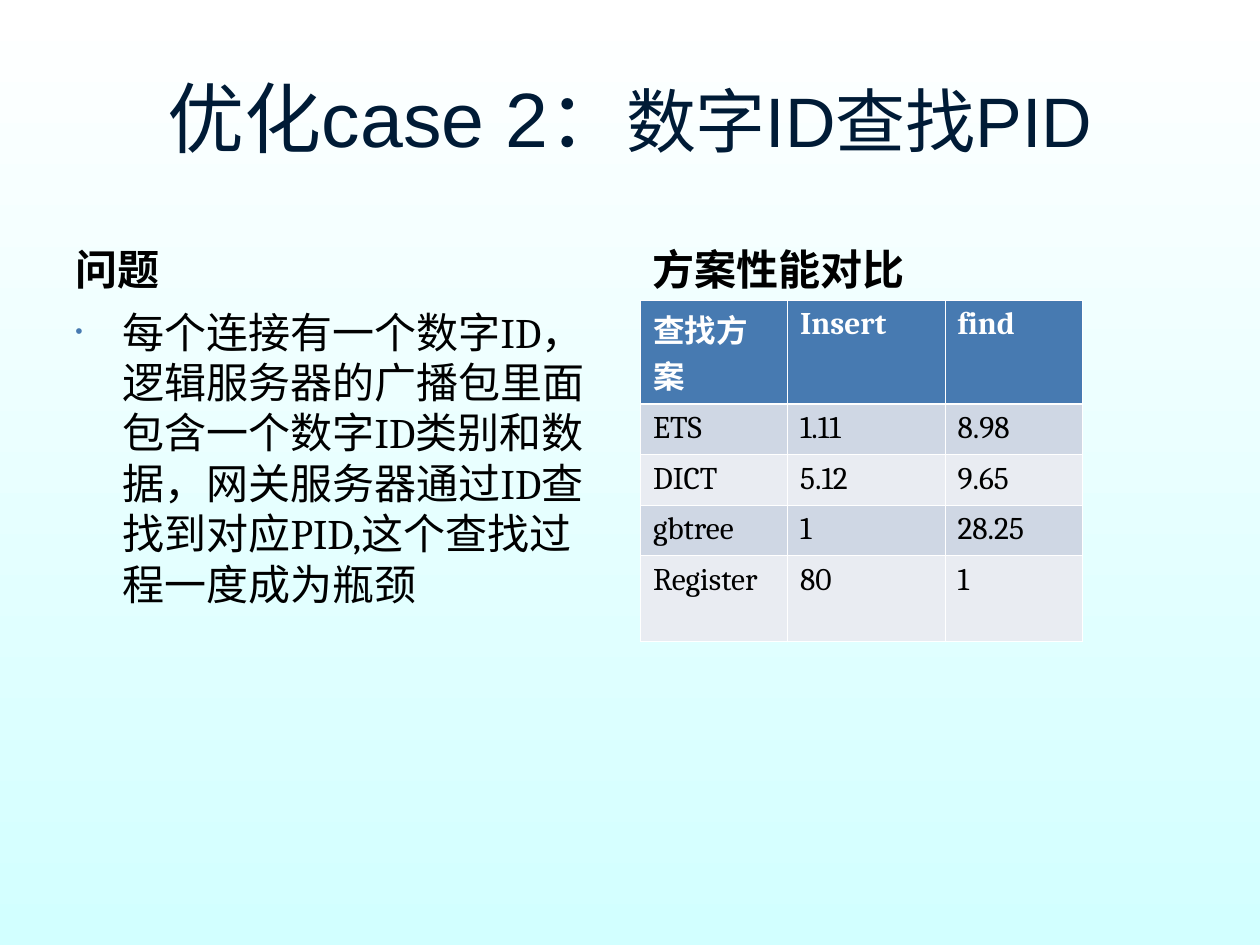
import pptx
import pptx.util
import pptx.dml.color
import pptx.enum.text
import pptx.oxml
import pptx.oxml.ns

Pt = pptx.util.Pt
RGB = pptx.dml.color.RGBColor.from_string
Align = pptx.enum.text.PP_ALIGN
Anchor = pptx.enum.text.MSO_ANCHOR
NS = pptx.oxml.ns.nsdecls("a")
HUES = {"white": "FFFFFF", "aqua": "D2FFFF", "navy": "001B36", "black": "000000",
        "blue": "477AB1", "dark": "CFD7E4", "pale": "E9ECF2"}


def style(para, size, hue="black", bold=False):
    font = para.font
    font.name, font.size, font.bold = "Cambria", Pt(size), bold
    font.color.rgb = RGB(HUES[hue])


def add_text(left, top, high, text, anchor, bold):
    box = slide.shapes.add_textbox(Pt(left), Pt(top), Pt(318), Pt(high))
    frame = box.text_frame
    frame.word_wrap = True
    frame.vertical_anchor = anchor
    para = frame.paragraphs[0]
    para.text = text
    style(para, 24, bold=bold)
    return para


deck = pptx.Presentation()
deck.slide_width, deck.slide_height = Pt(720), Pt(540)
slide = deck.slides.add_slide(deck.slide_layouts[5])

back = slide.background.fill
back.gradient()
back.gradient_angle = 270
for stop, hue in zip(back.gradient_stops, ("white", "aqua")):
    stop.color.rgb = RGB(HUES[hue])

title = slide.shapes.title
title.left, title.top, title.width, title.height = Pt(36), Pt(21.6), Pt(648), Pt(90)
frame = title.text_frame
frame.auto_size = pptx.enum.text.MSO_AUTO_SIZE.NONE
frame.vertical_anchor = Anchor.MIDDLE
para = frame.paragraphs[0]
para.alignment = Align.CENTER
para.font.name = "Arial"
para.font.color.rgb = RGB(HUES["navy"])
for text, size in (("优化case 2：", 44), ("数字ID查找PID", 40)):
    run = para.add_run()
    run.text = text
    run.font.size = Pt(size)

for left, text in ((36, "问题"), (366, "方案性能对比")):
    add_text(left, 121, 50.4, text, Anchor.BOTTOM, True)

issue = add_text(36, 171.4, 311, "每个连接有一个数字ID，逻辑服务器的广播包里面包含一个数字ID类别和数据，"
                 "网关服务器通过ID查找到对应PID,这个查找过程一度成为瓶颈", Anchor.TOP, False)
props = issue._p.get_or_add_pPr()
props.set("marL", str(Pt(27)))
props.set("indent", str(-Pt(27)))
marks = (f'<a:buClr {NS}><a:srgbClr val="{HUES["blue"]}"/></a:buClr>',
         f'<a:buSzPct {NS} val="50000"/>',
         f'<a:buFont {NS} typeface="Arial"/>',
         f'<a:buChar {NS} char="•"/>')
for spot, mark in enumerate(marks):
    props.insert(spot, pptx.oxml.parse_xml(mark))

rows = [("查找方案", "Insert", "find"),
        ("ETS", "1.11", "8.98"),
        ("DICT", "5.12", "9.65"),
        ("gbtree", "1", "28.25"),
        ("Register", "80", "1")]
wide = (84, 90, 78.5)
high = (59.6, 28.1, 28.1, 28.1, 48.9)
table = slide.shapes.add_table(len(rows), len(wide), Pt(366), Pt(171.4),
                               Pt(sum(wide)), Pt(sum(high))).table
table.horz_banding = False
for col, size in zip(table.columns, wide):
    col.width = Pt(size)
for row, size in zip(table.rows, high):
    row.height = Pt(size)

for r, row in enumerate(rows):
    head = r == 0
    shade = "blue" if head else "dark" if r % 2 else "pale"
    for c, text in enumerate(row):
        cell = table.cell(r, c)
        cell.fill.solid()
        cell.fill.fore_color.rgb = RGB(HUES[shade])
        para = cell.text_frame.paragraphs[0]
        para.text = text
        style(para, 18, "white" if head else "black", head)
        props = cell._tc.get_or_add_tcPr()
        for spot, side in enumerate("LRTB"):
            thick = (r, side) in ((0, "B"), (1, "T"))
            line = pptx.oxml.parse_xml(
                f'<a:ln{side} {NS} w="{Pt(1.47 if thick else 0.45)}"><a:solidFill>'
                f'<a:srgbClr val="{HUES["white"]}"/></a:solidFill></a:ln{side}>')
            props.insert(spot, line)

deck.save("out.pptx")
